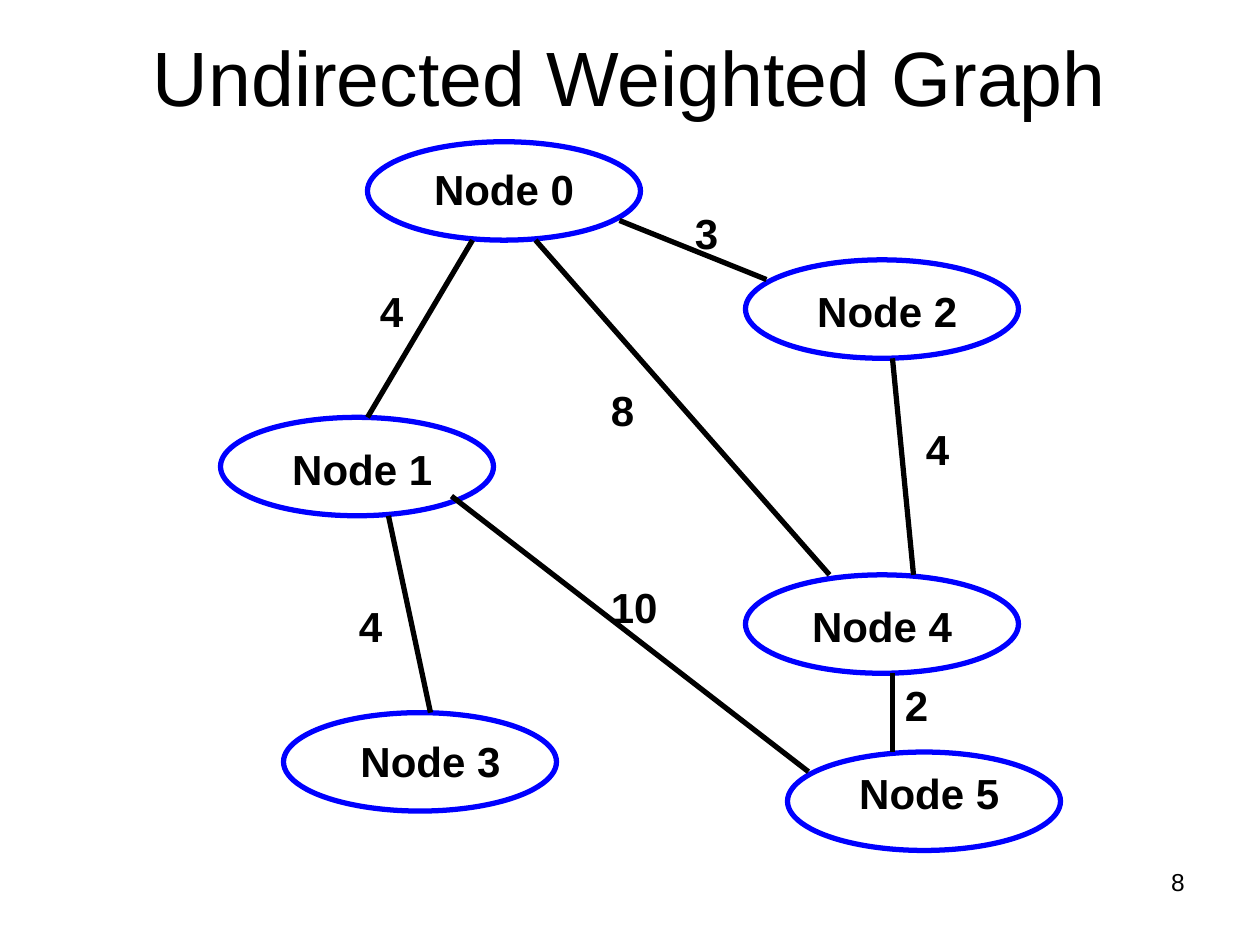
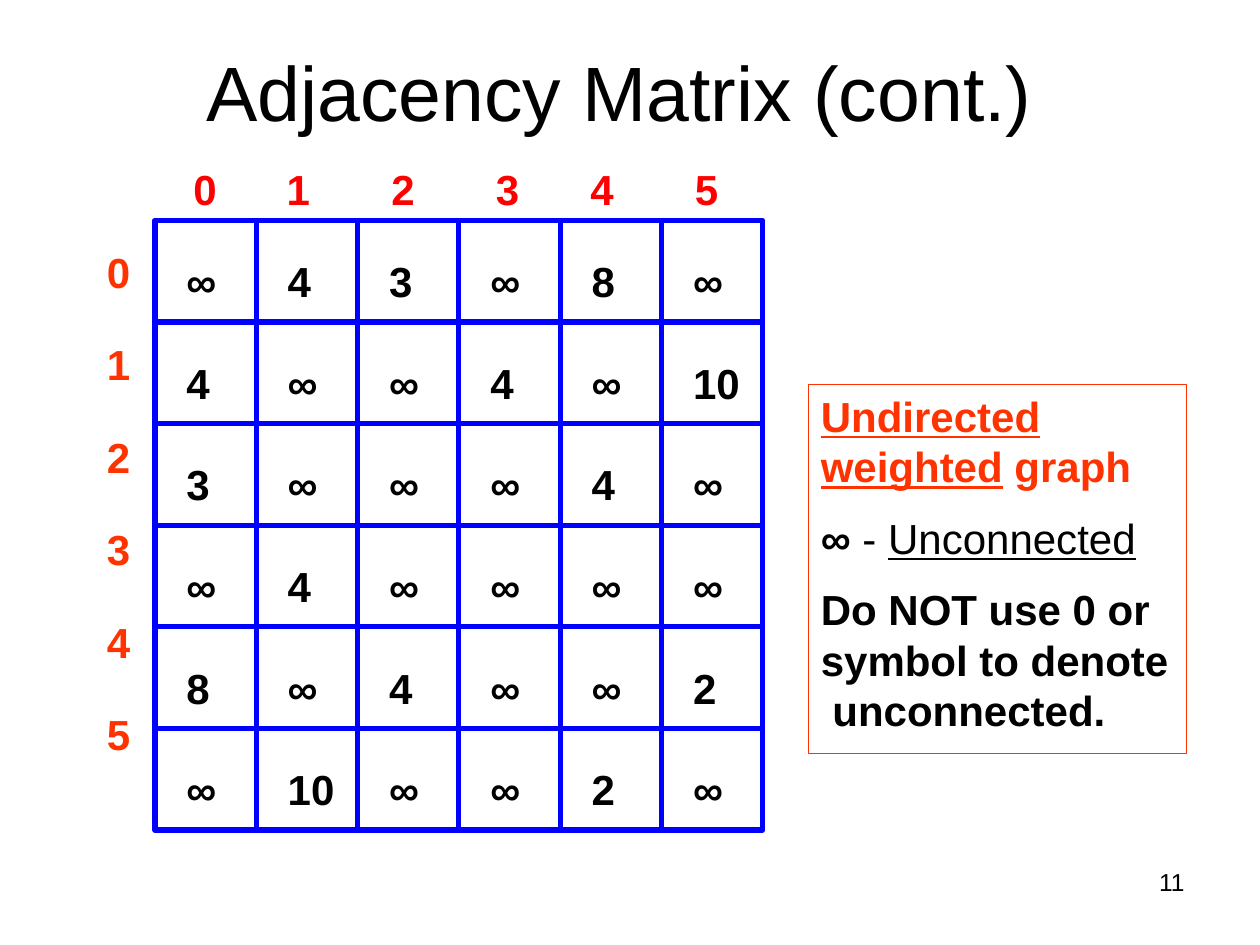
from lxml.etree import SubElement
from pptx import Presentation
from pptx.dml.color import RGBColor
from pptx.enum.shapes import MSO_CONNECTOR, MSO_SHAPE
from pptx.enum.text import MSO_ANCHOR, PP_ALIGN
from pptx.oxml.ns import qn
from pptx.util import Inches, Pt

# Shared look: a grid of 120 columns by 240 rows
WIDTH, HEIGHT = Inches(10), Inches(7.5)
COLUMNS, ROWS = 120, 240
FONT = "Arial"
BLACK, WHITE, BLUE, RED, ORANGE = "000000", "FFFFFF", "0000FF", "FF0000", "FF3300"
BOLD = dict(size=Pt(24), bold=True)
OUTLINE = 3

# Nodes: ellipse (column, row), label (column, row, width)
NODE_SIZE = (26, 25)
NODES = [
    ((35, 36), (37, 40, 22)),
    ((21, 106), (22, 111, 25)),
    ((71, 66), (72, 71, 25)),
    ((27, 181), (30, 185.3, 22)),
    ((71, 146), (70, 151, 28)),
    ((75, 191), (75, 193.3, 27)),
]

# Edges: joined nodes, weight, start, finish, place of the weight
EDGES = [
    (0, 2, 3, (59, 56), (73, 71), (65, 51)),
    (0, 4, 8, (51, 61), (79, 146), (57, 96)),
    (0, 1, 4, (45, 61), (35, 106), (35, 71)),
    (1, 3, 4, (37, 131), (41, 181), (33, 151)),
    (1, 5, 10, (43, 126), (77, 196), (57, 146)),
    (2, 4, 4, (85, 91), (87, 146), (87, 106)),
    (4, 5, 2, (85, 171), (85, 191), (85, 171)),
]


def color(hex_string):
    return RGBColor.from_string(hex_string)


def across(columns):
    return round(columns * WIDTH / COLUMNS)


def down(rows):
    return round(rows * HEIGHT / ROWS)


def area(left, top, width, height):
    return across(left), down(top), across(width), down(height)


def add_run(paragraph, text, ink=BLACK, **formats):
    run = paragraph.add_run()
    run.text = text
    run.font.name = FONT
    run.font.color.rgb = color(ink)
    for name, value in formats.items():
        setattr(run.font, name, value)


def add_label(slide, place, text, align=PP_ALIGN.LEFT, anchor=MSO_ANCHOR.TOP,
              ink=BLACK, **formats):
    frame = slide.shapes.add_textbox(*area(*place)).text_frame
    frame.word_wrap = True
    frame.vertical_anchor = anchor
    paragraph = frame.paragraphs[0]
    paragraph.alignment = align
    add_run(paragraph, text, ink, **formats)
    return paragraph


def add_outlined(slide, preset, place, line=BLUE, weight=OUTLINE, fill=WHITE):
    shape = slide.shapes.add_shape(preset, *area(*place))
    shape.shadow.inherit = False
    if fill:
        shape.fill.solid()
        shape.fill.fore_color.rgb = color(fill)
    else:
        shape.fill.background()
    shape.line.color.rgb = color(line)
    shape.line.width = Pt(weight)
    shape.text_frame.vertical_anchor = MSO_ANCHOR.TOP
    shape.text_frame.paragraphs[0].alignment = PP_ALIGN.LEFT
    return shape.text_frame


def add_slide(deck, title, title_place, number):
    slide = deck.slides.add_slide(deck.slide_layouts[6])
    add_label(slide, title_place, title, PP_ALIGN.CENTER, MSO_ANCHOR.MIDDLE, size=Pt(44))
    add_label(slide, (86, 218.7, 28, 16.5), str(number), PP_ALIGN.RIGHT, size=Pt(14))
    return slide


# Graph parts
def add_node(slide, number, corner, label):
    add_outlined(slide, MSO_SHAPE.OVAL, (*corner, *NODE_SIZE))
    add_label(slide, (*label, 20), f"Node {number}", PP_ALIGN.CENTER, **BOLD)


def add_edge(slide, start, finish):
    edge = slide.shapes.add_connector(
        MSO_CONNECTOR.STRAIGHT, across(start[0]), down(start[1]),
        across(finish[0]), down(finish[1]))
    edge.line.color.rgb = color(BLACK)
    edge.line.width = Pt(OUTLINE)
    SubElement(edge._element.spPr, qn("a:effectLst"))


# Matrix parts
def adjacency():
    matrix = [["∞"] * len(NODES) for _ in NODES]
    for first, second, weight, *_ in EDGES:
        matrix[first][second] = matrix[second][first] = str(weight)
    return matrix


def add_matrix(slide, values):
    left, top, width, height = 14.75, 56, 9.65, 25.8
    insets = dict(margin_left=Inches(0.25), margin_right=0,
                  margin_top=Inches(0.28), margin_bottom=0)
    for row, weights in enumerate(values):
        for column, weight in enumerate(weights):
            place = (left + column * width, top + row * height, width, height)
            frame = add_outlined(slide, MSO_SHAPE.RECTANGLE, place)
            for name, value in insets.items():
                setattr(frame, name, value)
            add_run(frame.paragraphs[0], weight, **BOLD)


def add_column_numbers(slide):
    tab_stops = (0.74, 1.57, 2.4, 3.15, 3.98)
    numbers = add_label(slide, (17.25, 40, 60, 21), "\t".join("012345"), ink=RED, **BOLD)
    tabs = SubElement(numbers._p.get_or_add_pPr(), qn("a:tabLst"))
    for stop in tab_stops:
        SubElement(tabs, qn("a:tab"), pos=str(Inches(stop)), algn="l")


def add_row_numbers(slide):
    frame = slide.shapes.add_textbox(*area(9, 61, 8.5, 144)).text_frame
    frame.word_wrap = True
    for number in range(len(NODES)):
        paragraph = frame.add_paragraph() if number else frame.paragraphs[0]
        paragraph.space_after = Pt(24)
        add_run(paragraph, str(number), ORANGE, **BOLD)


def add_note(slide):
    frame = add_outlined(slide, MSO_SHAPE.RECTANGLE, (77, 97.6, 36, 93.8),
                         line=ORANGE, weight=0.75, fill=None)
    frame.word_wrap = True
    # Each run: text, ink, bold, underline; None breaks the line
    statements = [
        [("Undirected weighted", ORANGE, True, True), (" graph", ORANGE, True, False)],
        [("∞", BLACK, True, False), (" - ", BLACK, False, False),
         ("Unconnected", BLACK, False, True)],
        [("Do NOT use 0 or symbol to denote", BLACK, True, False), None,
         (" unconnected.", BLACK, True, False)],
    ]
    for index, runs in enumerate(statements):
        paragraph = frame.add_paragraph() if index else frame.paragraphs[0]
        paragraph.alignment = PP_ALIGN.LEFT
        if index:
            paragraph.space_before = Pt(12)
        for run in runs:
            if run is None:
                paragraph.add_line_break()
                continue
            text, ink, bold, underline = run
            add_run(paragraph, text, ink, size=Pt(24), bold=bold, underline=underline)


def main():
    deck = Presentation()
    deck.slide_width, deck.slide_height = WIDTH, HEIGHT

    graph = add_slide(deck, "Undirected Weighted Graph", (6, 5.3, 108, 28), 8)
    for number, (corner, label) in enumerate(NODES):
        add_node(graph, number, corner, label)
    for _, _, weight, start, finish, place in EDGES:
        add_edge(graph, start, finish)
        add_label(graph, (*place, 8, 15), str(weight), **BOLD)

    matrix = add_slide(deck, "Adjacency Matrix (cont.)", (5, 7, 108, 32), 11)
    add_note(matrix)
    add_matrix(matrix, adjacency())
    add_row_numbers(matrix)
    add_column_numbers(matrix)

    deck.save("out.pptx")


if __name__ == "__main__":
    main()
